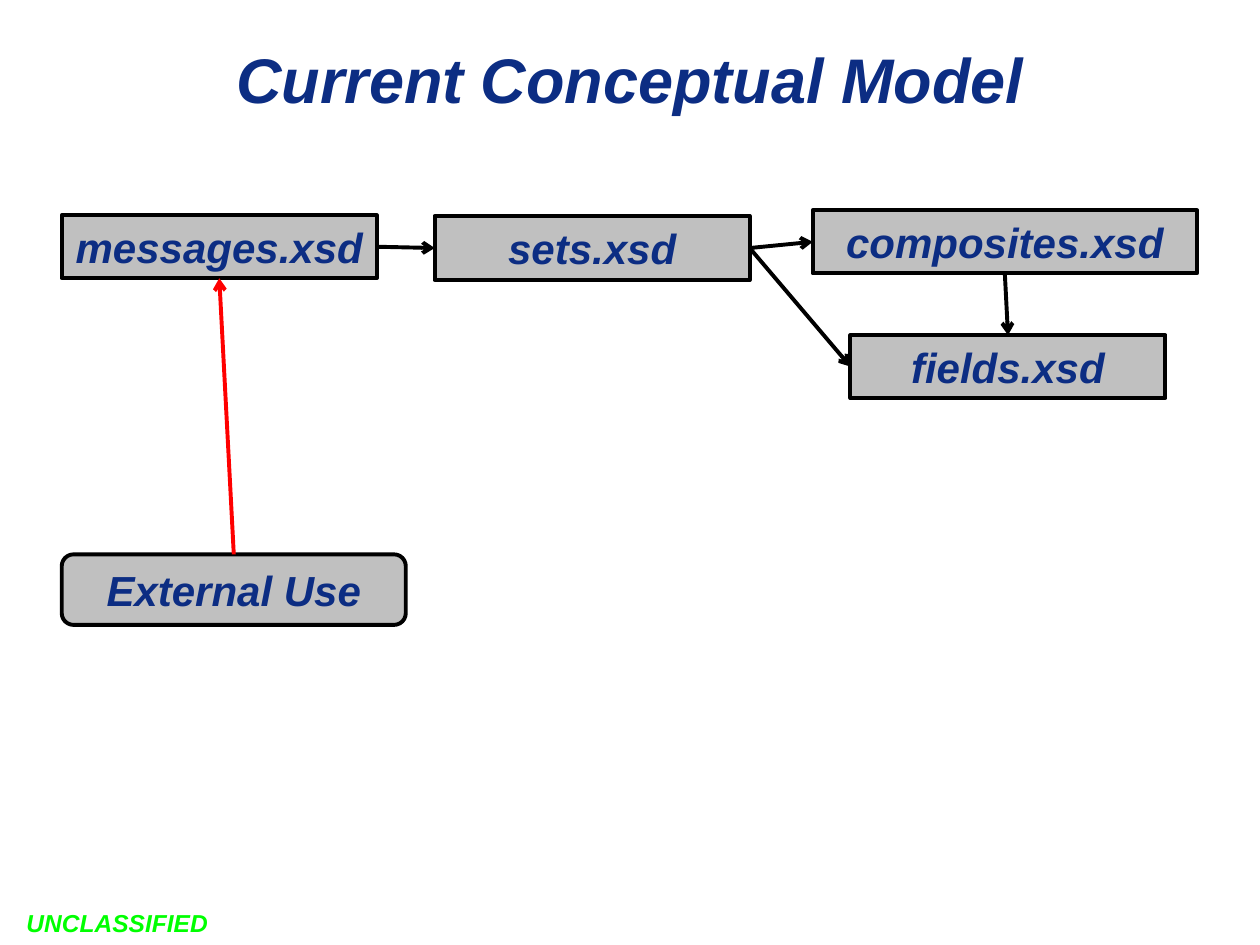
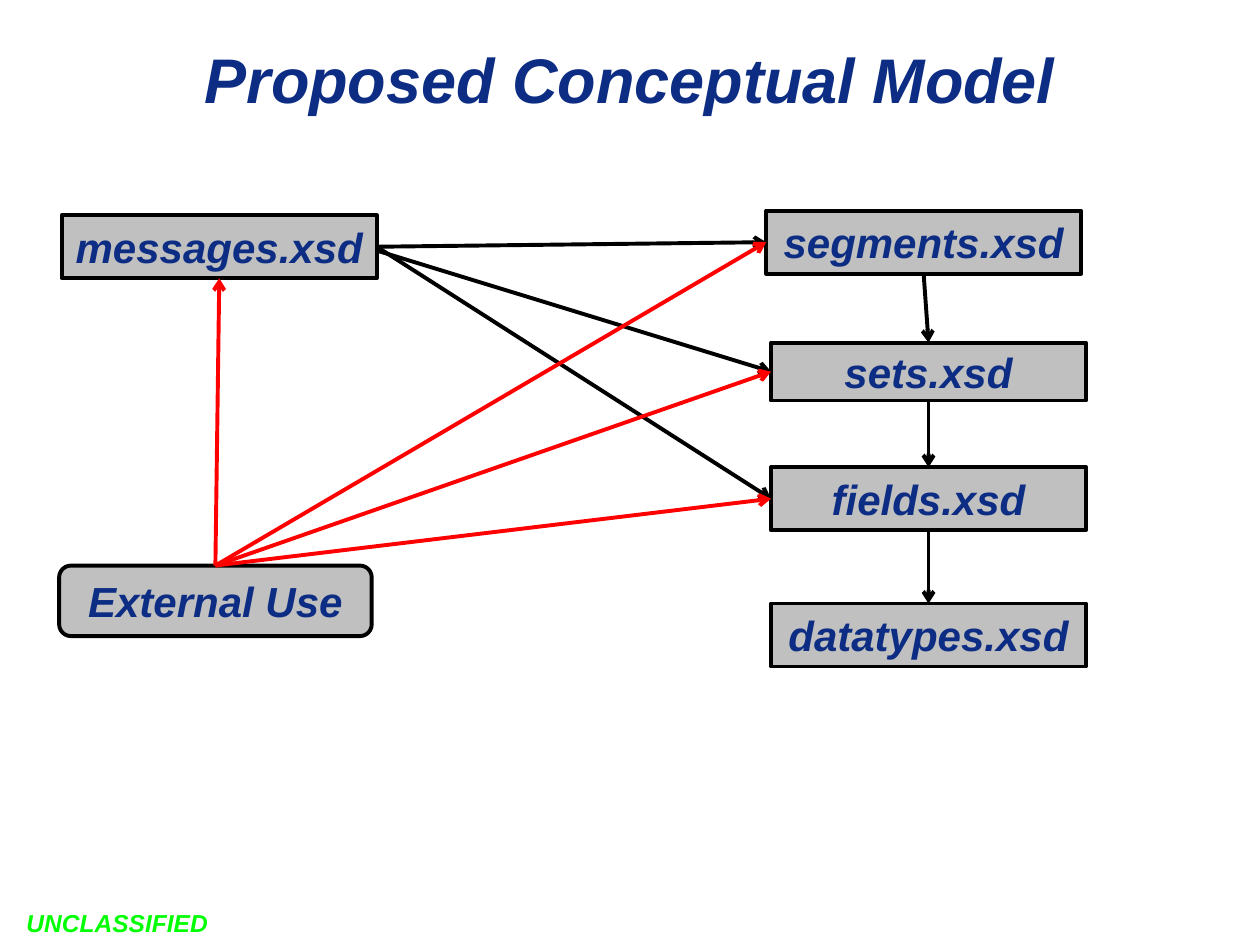
from dataclasses import dataclass

from lxml import etree
from pptx import Presentation
from pptx.dml.color import RGBColor
from pptx.enum.shapes import MSO_CONNECTOR, MSO_SHAPE
from pptx.enum.text import MSO_ANCHOR, PP_ALIGN
from pptx.oxml.ns import qn
from pptx.util import Pt

NAVY = RGBColor(0x0C, 0x2D, 0x83)
SILVER = RGBColor(0xC0, 0xC0, 0xC0)
BLACK = RGBColor(0x00, 0x00, 0x00)
RED = RGBColor(0xFF, 0x00, 0x00)
GREEN = RGBColor(0x00, 0xFF, 0x00)

PROCESS = MSO_SHAPE.FLOWCHART_PROCESS
ALTERNATE = MSO_SHAPE.FLOWCHART_ALTERNATE_PROCESS
STRAIGHT = MSO_CONNECTOR.STRAIGHT
CENTER = PP_ALIGN.CENTER
TOP_ANCHOR = MSO_ANCHOR.TOP
MIDDLE = MSO_ANCHOR.MIDDLE

FONT = "Arial"
LINE_WIDTH = Pt(2.25)
TOP, LEFT, BOTTOM, RIGHT = range(4)


@dataclass(frozen=True)
class Box:
    text: str
    left: float
    top: float
    width: float = 180
    height: float = 36
    kind: MSO_SHAPE = PROCESS


@dataclass(frozen=True)
class Arrow:
    source: str
    source_side: int
    target: str
    target_side: int
    color: RGBColor = BLACK
    drop: float = 0


@dataclass(frozen=True)
class Model:
    title: str
    boxes: list[Box]
    arrows: list[Arrow]


MESSAGES = Box("messages.xsd", 35.3, 123)

MODELS = [
    Model(
        "Current Conceptual Model",
        [
            MESSAGES,
            Box("sets.xsd", 248.4, 123.4, height=36.7),
            Box("composites.xsd", 464.4, 120.2, width=219.6),
            Box("fields.xsd", 486, 191.5),
            Box("External Use", 35.3, 316.8, 196.6, 40.3, ALTERNATE),
        ],
        [
            Arrow("messages.xsd", RIGHT, "sets.xsd", LEFT),
            Arrow("sets.xsd", RIGHT, "composites.xsd", LEFT),
            Arrow("sets.xsd", RIGHT, "fields.xsd", LEFT),
            Arrow("composites.xsd", BOTTOM, "fields.xsd", TOP),
        ],
    ),
    Model(
        "Proposed Conceptual Model",
        [
            MESSAGES,
            Box("segments.xsd", 437.8, 120.4),
            Box("sets.xsd", 440.6, 195.8, height=33.1),
            Box("fields.xsd", 440.6, 267),
            Box("datatypes.xsd", 440.6, 344.9),
            Box("External Use", 33.8, 323.2, 178.6, 40.3, ALTERNATE),
        ],
        [
            Arrow("messages.xsd", RIGHT, "segments.xsd", LEFT),
            Arrow("messages.xsd", RIGHT, "sets.xsd", LEFT, drop=2.2),
            Arrow("segments.xsd", BOTTOM, "sets.xsd", TOP),
            Arrow("sets.xsd", BOTTOM, "fields.xsd", TOP),
            Arrow("fields.xsd", BOTTOM, "datatypes.xsd", TOP),
            Arrow("messages.xsd", RIGHT, "fields.xsd", LEFT),
            Arrow("External Use", TOP, "segments.xsd", LEFT, RED),
            Arrow("External Use", TOP, "sets.xsd", LEFT, RED),
            Arrow("External Use", TOP, "fields.xsd", LEFT, RED),
        ],
    ),
]


def write_text(sp, text: str, size: float, color: RGBColor, anchor=MIDDLE) -> None:
    tf = sp.text_frame
    tf.word_wrap = True
    tf.vertical_anchor = anchor
    tf.text = text
    p = tf.paragraphs[0]
    p.alignment = CENTER
    font = p.runs[0].font
    font.name = FONT
    font.size = Pt(size)
    font.bold = font.italic = True
    font.color.rgb = color


def add_label(s, text: str, left: float, top: float, width: float, height: float,
              size: float, color: RGBColor, anchor=MIDDLE) -> None:
    sp = s.shapes.add_textbox(Pt(left), Pt(top), Pt(width), Pt(height))
    write_text(sp, text, size, color, anchor)


def add_box(s, box: Box):
    sp = s.shapes.add_shape(box.kind, Pt(box.left), Pt(box.top), Pt(box.width), Pt(box.height))
    sp.shadow.inherit = False
    sp.fill.solid()
    sp.fill.fore_color.rgb = SILVER
    sp.line.color.rgb = BLACK
    sp.line.width = LINE_WIDTH
    write_text(sp, box.text, 24, NAVY)
    sp.text_frame.word_wrap = False
    return sp


def add_arrow(s, arrow: Arrow, shapes: dict) -> None:
    source = shapes[arrow.source]
    cx = s.shapes.add_connector(
        STRAIGHT, source.left + source.width,
        source.top + source.height // 2 + Pt(arrow.drop), 0, 0)
    if not arrow.drop:
        cx.begin_connect(source, arrow.source_side)
    cx.end_connect(shapes[arrow.target], arrow.target_side)
    cx.line.color.rgb = arrow.color
    cx.line.width = LINE_WIDTH
    etree.SubElement(cx.line._get_or_add_ln(), qn("a:tailEnd"), type="arrow")
    etree.SubElement(cx._element.spPr, qn("a:effectLst"))


def add_model(prs, model: Model) -> None:
    s = prs.slides.add_slide(prs.slide_layouts[6])
    add_label(s, model.title, 36, 5, 648, 79.2, 36, NAVY)
    shapes = {box.text: add_box(s, box) for box in model.boxes}
    external_link = Arrow("External Use", TOP, "messages.xsd", BOTTOM, RED)
    for arrow in [*model.arrows, external_link]:
        add_arrow(s, arrow, shapes)
    add_label(s, "UNCLASSIFIED", 0, 515.5, 134, 24, 14, GREEN, TOP_ANCHOR)


def main() -> None:
    prs = Presentation()
    prs.slide_width = Pt(720)
    prs.slide_height = Pt(540)
    for model in MODELS:
        add_model(prs, model)
    prs.save("out.pptx")


if __name__ == "__main__":
    main()
